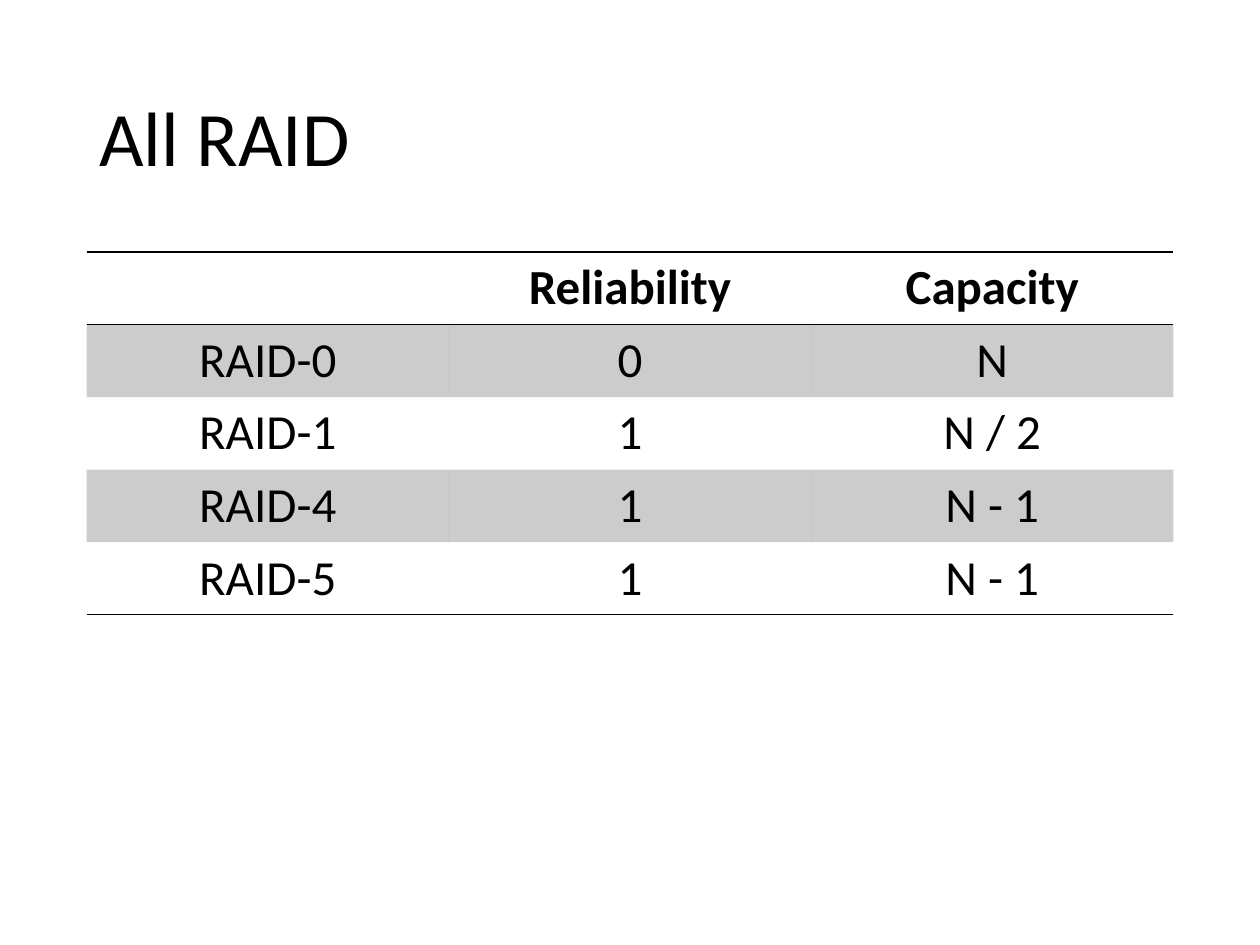
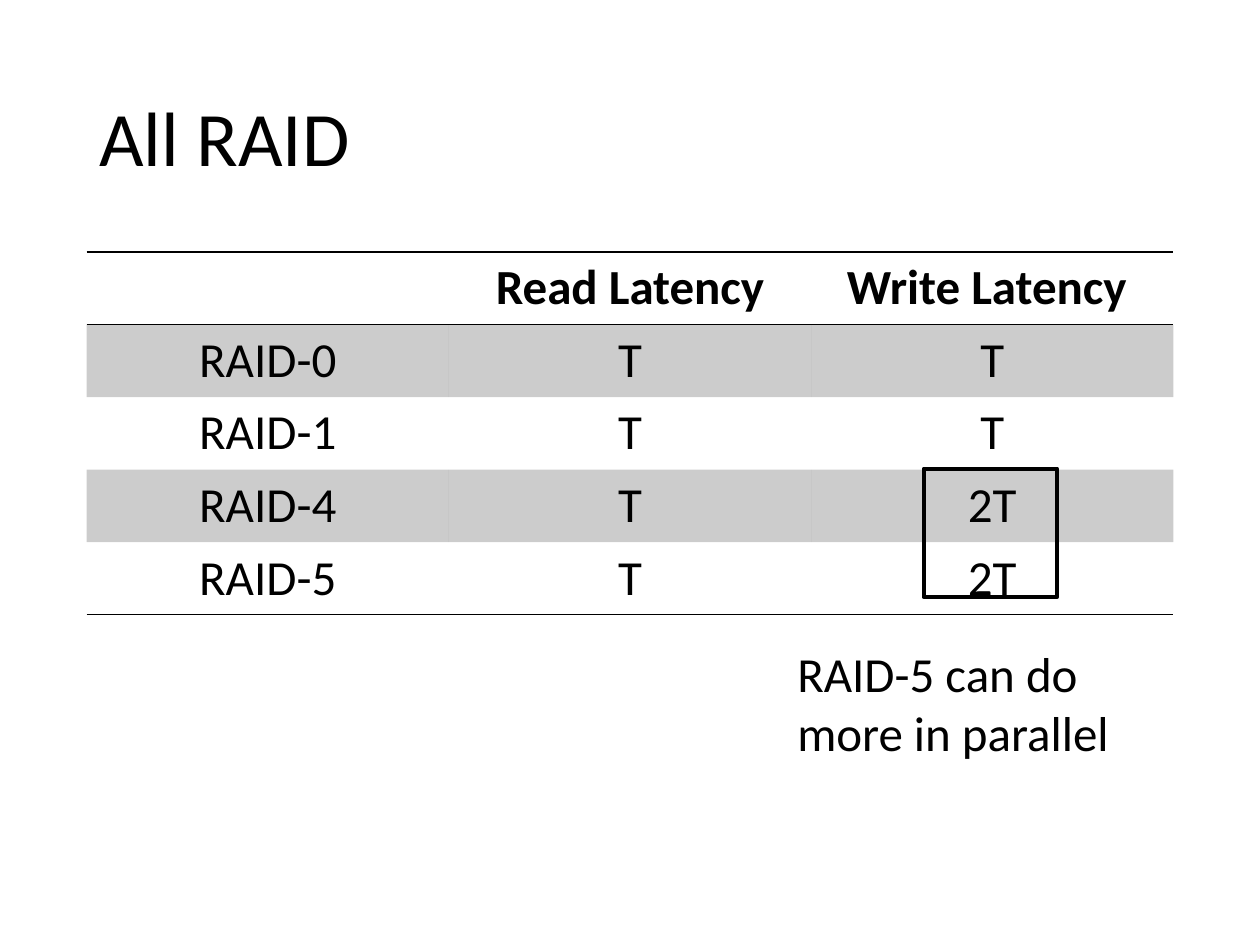
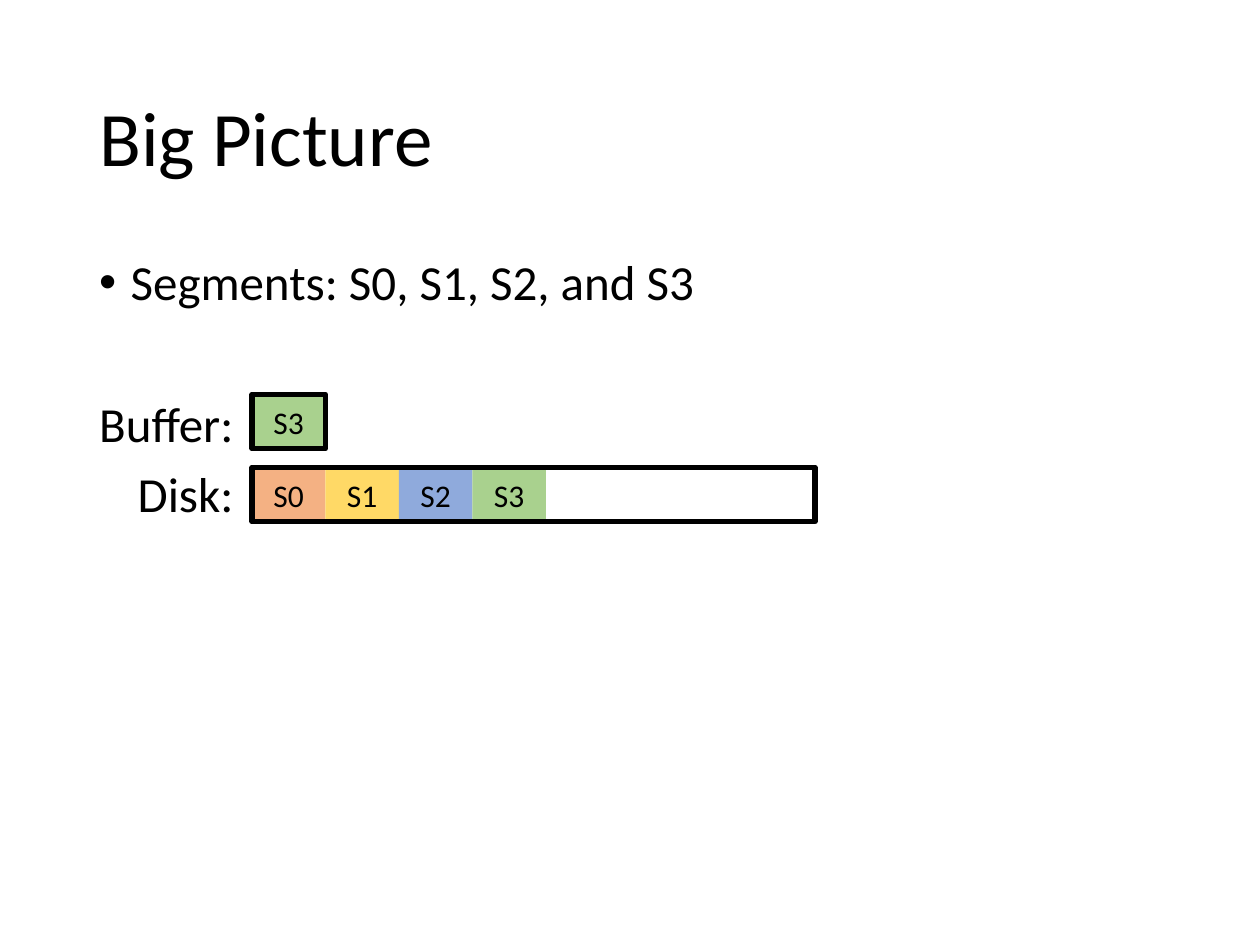
"""Build three slides on RAID levels and log segments."""
from dataclasses import dataclass

from lxml import etree
from pptx import Presentation
from pptx.dml.color import RGBColor
from pptx.enum import shapes, text
from pptx.oxml import ns
from pptx.util import Pt


@dataclass(frozen=True)
class Theme:
    font: str = "Calibri"
    ink: str = "000000"
    band_alpha: int = 20
    title_size: int = 44
    body_size: int = 28
    label_size: int = 18
    line_spacing: float = 0.9
    rule: float = 1
    highlight_line: float = 2.25
    frame_line: float = 3


THEME = Theme()
NO_STYLE = "{2D5ABB26-0587-4C30-8999-92F81FD0307C}"

TITLE_BOX = (49.5, 28.8, 621, 104.4)
BODY_BOX = (49.5, 144, 621, 342.6)
TABLE_BOX = (49.5, 144, 621, 204)
NOTE_BOX = (448.5, 364.3, 209.5, 74.9)
HIGHLIGHT_BOX = (527.8, 267.8, 76.3, 73.4)
SEGMENT_LEFT, SEGMENT_WIDTH, SEGMENT_HEIGHT = 144, 42, 31
BUFFER_TOP, DISK_TOP, DISK_WIDTH = 225.4, 267.1, 321.8

CAPACITY = [
    ("", "Reliability", "Capacity"),
    ("RAID-0", "0", "N"),
    ("RAID-1", "1", "N / 2"),
    ("RAID-4", "1", "N - 1"),
    ("RAID-5", "1", "N - 1"),
]
LATENCY = [
    ("", "Read Latency", "Write Latency "),
    ("RAID-0", "T", "T"),
    ("RAID-1", "T", "T"),
    ("RAID-4", "T", "2T"),
    ("RAID-5", "T", "2T"),
]
NOTE = "RAID-5 can do more in parallel"
BODY = [
    {"text": "Segments: S0, S1, S2, and S3", "left": 18, "first": -18, "before": 10, "bullet": True},
    {"text": "Buffer:", "left": 0, "first": 0, "before": 50.8, "bullet": False},
    {"text": "Disk:", "left": 22, "first": 0, "before": 10, "bullet": False},
]
SEGMENTS = {"S0": "F4B183", "S1": "FFD966", "S2": "8FAADC", "S3": "A9D18E"}
BUFFERED = "S3"


def rgb(color):
    return RGBColor.from_string(color)


def pts(box):
    return [Pt(v) for v in box]


def place(sp, box):
    sp.left, sp.top, sp.width, sp.height = pts(box)


def style(p, size, bold=False, align=text.PP_ALIGN.LEFT):
    p.alignment = align
    p.font.name, p.font.size, p.font.bold = THEME.font, Pt(size), bold
    p.font.color.rgb = rgb(THEME.ink)


def add_slide(prs, layout, title):
    s = prs.slides.add_slide(prs.slide_layouts.get_by_name(layout))
    sp = s.shapes.title
    place(sp, TITLE_BOX)
    tf = sp.text_frame
    tf.text = title
    tf.auto_size = text.MSO_AUTO_SIZE.NONE
    tf.vertical_anchor = text.MSO_ANCHOR.MIDDLE
    p = tf.paragraphs[0]
    style(p, THEME.title_size)
    p.line_spacing = THEME.line_spacing
    return s


def add_border(tc_pr, side):
    ln = etree.Element(ns.qn(f"a:ln{side}"), w=str(Pt(THEME.rule)))
    fill = etree.SubElement(ln, ns.qn("a:solidFill"))
    etree.SubElement(fill, ns.qn("a:srgbClr"), val=THEME.ink)
    tc_pr.insert(0, ln)


def fill_band(cell):
    cell.fill.solid()
    cell.fill.fore_color.rgb = rgb(THEME.ink)
    color = cell._tc.tcPr.find(".//" + ns.qn("a:srgbClr"))
    etree.SubElement(color, ns.qn("a:alpha"), val=str(THEME.band_alpha * 1000))


def add_raid_table(s, rows):
    table = s.shapes.add_table(len(rows), len(rows[0]), *pts(TABLE_BOX)).table
    table._tbl.tblPr.find(ns.qn("a:tableStyleId")).text = NO_STYLE
    for i, row in enumerate(rows):
        for j, value in enumerate(row):
            cell = table.cell(i, j)
            cell.text = value
            style(cell.text_frame.paragraphs[0], THEME.body_size, i == 0, text.PP_ALIGN.CENTER)
            if i % 2:
                fill_band(cell)
            else:
                cell.fill.background()
            if i in (0, len(rows) - 1):
                add_border(cell._tc.tcPr, "B")
            if i == 0:
                add_border(cell._tc.tcPr, "T")


def add_rect(s, box):
    sp = s.shapes.add_shape(shapes.MSO_SHAPE.RECTANGLE, *pts(box))
    sp.shadow.inherit = False
    return sp


def add_frame(s, box, width):
    sp = add_rect(s, box)
    sp.fill.background()
    sp.line.color.rgb = rgb(THEME.ink)
    sp.line.width = Pt(width)


def add_segment(s, name, left, top):
    sp = add_rect(s, (left, top, SEGMENT_WIDTH, SEGMENT_HEIGHT))
    sp.fill.solid()
    sp.fill.fore_color.rgb = rgb(SEGMENTS[name])
    sp.line.fill.background()
    tf = sp.text_frame
    tf.text = name
    tf.vertical_anchor = text.MSO_ANCHOR.MIDDLE
    style(tf.paragraphs[0], THEME.label_size, align=text.PP_ALIGN.CENTER)


def add_note(s):
    tf = s.shapes.add_textbox(*pts(NOTE_BOX)).text_frame
    tf.word_wrap = True
    tf.auto_size = text.MSO_AUTO_SIZE.SHAPE_TO_FIT_TEXT
    tf.text = NOTE
    style(tf.paragraphs[0], THEME.body_size)


def fill_body(s):
    sp = s.placeholders[1]
    place(sp, BODY_BOX)
    tf = sp.text_frame
    tf.text = "\n".join(item["text"] for item in BODY)
    tf.auto_size = text.MSO_AUTO_SIZE.NONE
    for p, item in zip(tf.paragraphs, BODY):
        style(p, THEME.body_size)
        p.line_spacing = THEME.line_spacing
        p.space_before = Pt(item["before"])
        p_pr = p._p.get_or_add_pPr()
        p_pr.set("marL", str(Pt(item["left"])))
        p_pr.set("indent", str(Pt(item["first"])))
        bullet = etree.Element(ns.qn("a:buChar"), char="•") if item["bullet"] else etree.Element(ns.qn("a:buNone"))
        p_pr.find(ns.qn("a:defRPr")).addprevious(bullet)


def add_storage(s):
    for i, name in enumerate(SEGMENTS):
        add_segment(s, name, SEGMENT_LEFT + i * SEGMENT_WIDTH, DISK_TOP)
    add_segment(s, BUFFERED, SEGMENT_LEFT, BUFFER_TOP)
    for top, width in ((DISK_TOP, DISK_WIDTH), (BUFFER_TOP, SEGMENT_WIDTH)):
        add_frame(s, (SEGMENT_LEFT, top, width, SEGMENT_HEIGHT), THEME.frame_line)


def main():
    prs = Presentation()
    prs.slide_width, prs.slide_height = Pt(720), Pt(540)

    s = add_slide(prs, "Title Only", "All RAID")
    add_raid_table(s, CAPACITY)

    s = add_slide(prs, "Title Only", "All RAID")
    add_raid_table(s, LATENCY)
    add_note(s)
    add_frame(s, HIGHLIGHT_BOX, THEME.highlight_line)

    s = add_slide(prs, "Title and Content", "Big Picture")
    fill_body(s)
    add_storage(s)

    prs.save("out.pptx")


if __name__ == "__main__":
    main()
